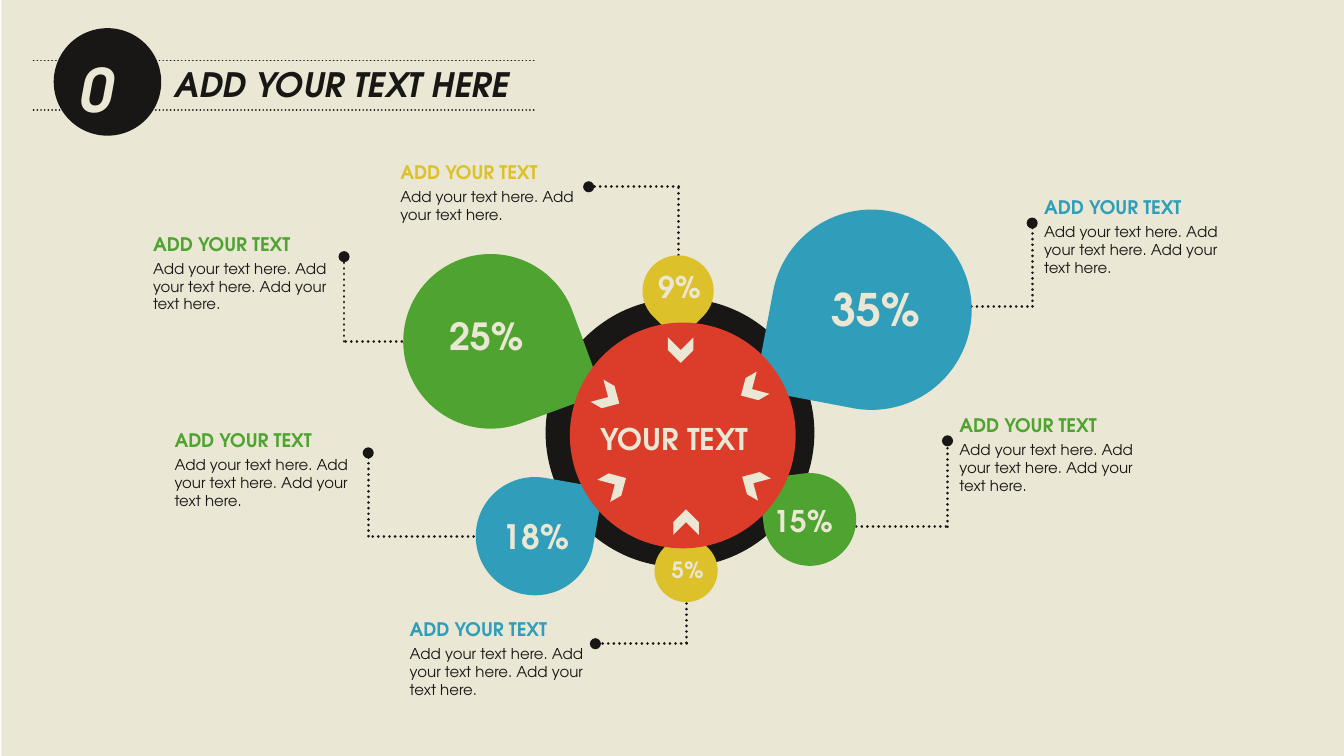
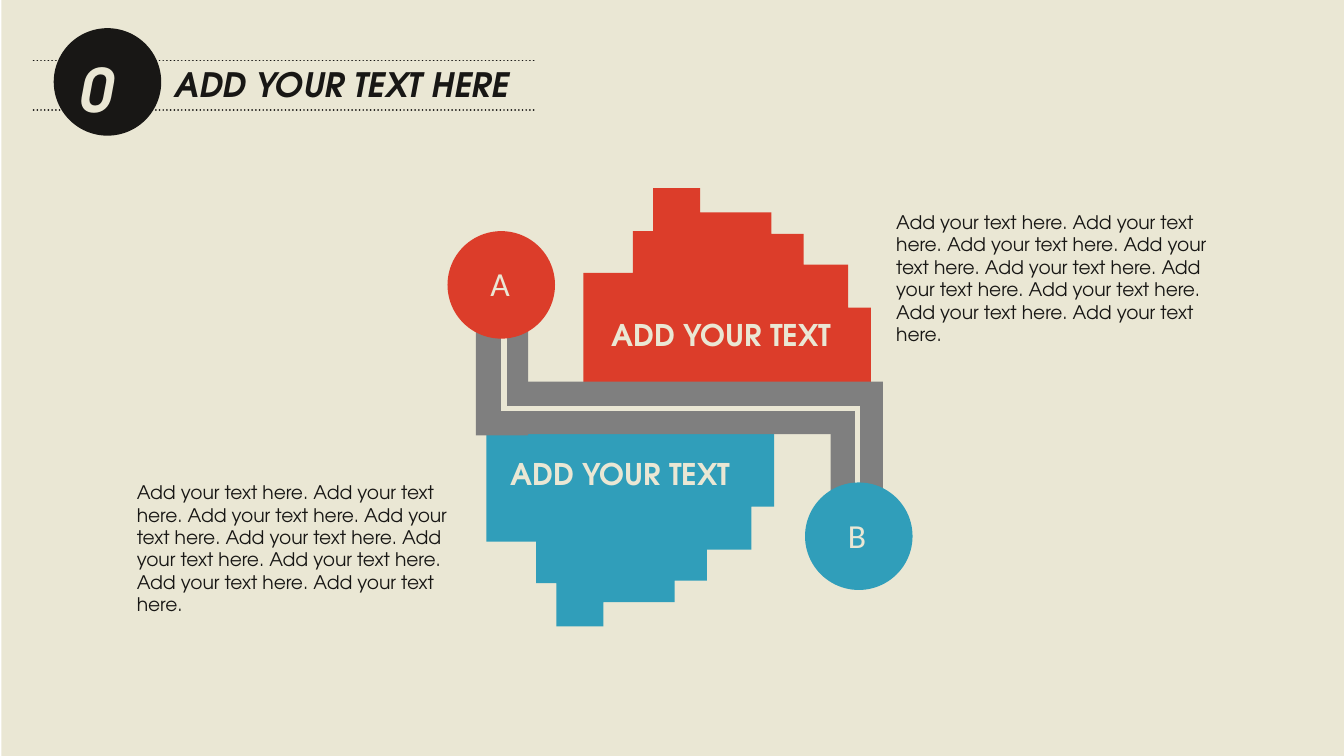
"""Build two infographic slides: a percentage wheel and a pair of stepped silhouettes."""
from dataclasses import dataclass
from typing import NamedTuple

from lxml import etree
from pptx import Presentation
from pptx.dml.color import RGBColor
from pptx.enum.dml import MSO_LINE as Dash
from pptx.enum.shapes import MSO_CONNECTOR as Link, MSO_SHAPE as Preset
from pptx.enum.text import MSO_AUTO_SIZE as AutoSize
from pptx.oxml.ns import qn
from pptx.util import Inches, Pt


@dataclass(frozen=True)
class Theme:
    """Colours, fonts and type sizes shared by both slides."""
    cream: str = "EAE7D4"
    ink: str = "181715"
    green: str = "4FA331"
    blue: str = "309EBA"
    yellow: str = "DCC12A"
    red: str = "DC3D2A"
    grey: str = "7F7F7F"
    font: str = "TeX Gyre Adventor"
    letter_font: str = "Calibri"
    number: int = 32
    title: int = 18
    label: int = 16
    heading: int = 10
    small: int = 8


THEME = Theme()
SENTENCE = "Add your text here."


class Bubble(NamedTuple):
    """One share of the wheel: teardrop, percentage and its place."""
    left: float
    top: float
    size: float
    turn: float
    color: str
    share: str
    share_box: tuple
    share_size: int


class Callout(NamedTuple):
    """A heading with body text and the leader that ties it to a bubble."""
    left: float
    top: float
    color: str
    sentences: int
    leader: tuple


BUBBLES = [
    Bubble(3, 1.89, 1.3, 69.9, THEME.green, "25%", (3.25, 2.28, 0.77, 0.44), 20),
    Bubble(5.74, 1.56, 1.49, 190.7, THEME.blue, "35%", (6.09, 2.05, 0.88, 0.5), 24),
    Bubble(5.68, 3.52, 0.69, 262.7, THEME.green, "15%", (5.66, 3.69, 0.65, 0.37), 16),
    Bubble(3.54, 3.55, 0.88, 9.9, THEME.blue, "18%", (3.64, 3.79, 0.71, 0.4), 18),
    Bubble(4.87, 4.01, 0.47, 315, THEME.yellow, "5%", (4.9, 4.09, 0.44, 0.3), 12),
    Bubble(4.78, 1.9, 0.53, 135, THEME.yellow, "9%", (4.8, 1.95, 0.52, 0.37), 16),
]

CALLOUTS = [
    Callout(1.04, 1.68, THEME.green, 3, ((2.99, 2.54), (2.56, 2.54), (2.56, 1.91))),
    Callout(1.2, 3.14, THEME.green, 3, ((3.9, 3.99), (2.74, 3.99), (2.74, 3.37))),
    Callout(2.95, 4.55, THEME.blue, 3, ((5.11, 4.24), (5.11, 4.79), (4.43, 4.79))),
    Callout(2.88, 1.15, THEME.yellow, 2, ((5.05, 1.94), (5.05, 1.39), (4.38, 1.39))),
    Callout(7.67, 1.41, THEME.blue, 3, ((6.81, 2.28), (7.68, 2.28), (7.68, 1.66))),
    Callout(7.04, 3.03, THEME.green, 3, ((5.87, 3.92), (7.05, 3.92), (7.05, 3.28))),
]

CHEVRONS = [(4.97, 2.51, 90), (5.5, 2.8, 150), (4.43, 2.86, 30),
            (5.01, 3.79, 270), (4.48, 3.51, 330), (5.51, 3.5, 210)]

SILHOUETTE = [
    (4.86, 1.4), (5.21, 1.4), (5.21, 1.58), (5.74, 1.58), (5.74, 1.74), (5.98, 1.74),
    (5.98, 1.97), (6.31, 1.97), (6.31, 2.29), (6.48, 2.29), (6.48, 3.07), (6.23, 3.07),
    (6.23, 2.97), (5.96, 2.97), (5.96, 2.94), (5.64, 2.94), (5.64, 2.86), (5.08, 2.86),
    (5.08, 2.91), (4.71, 2.91), (4.71, 2.87), (4.34, 2.87), (4.34, 2.03), (4.71, 2.03),
    (4.71, 1.72), (4.86, 1.72)]
MIRROR_SHIFT = 0.72
MIRROR_SUM = 6.06


def rgb(color):
    """Turn a hex string into a colour."""
    return RGBColor.from_string(color)


def paint(shape, color):
    """Give a shape a flat fill without outline or shadow."""
    shape.shadow.inherit = False
    shape.fill.solid()
    shape.fill.fore_color.rgb = rgb(color)
    shape.line.fill.background()


def add_preset(slide, preset, box, color, turn=0):
    """Add a flat preset shape, optionally rotated."""
    shape = slide.shapes.add_shape(preset, *map(Inches, box))
    shape.rotation = turn
    paint(shape, color)


def add_outline(slide, points, color):
    """Add a flat closed polygon."""
    corners = [(Inches(x), Inches(y)) for x, y in points]
    builder = slide.shapes.build_freeform(*corners[0])
    builder.add_line_segments(corners[1:], close=True)
    paint(builder.convert_to_shape(), color)


def add_line(slide, start, end, color, width, dotted=False, dot_end=False):
    """Add a straight line, optionally round-dotted or ending in a dot."""
    line = slide.shapes.add_connector(Link.STRAIGHT, *map(Inches, start + end))
    line.line.color.rgb = rgb(color)
    line.line.width = Pt(width)
    stroke = line._element.spPr.find(qn("a:ln"))
    if dotted:
        line.line.dash_style = Dash.ROUND_DOT
        stroke.set("cap", "rnd")
    if dot_end:
        etree.SubElement(stroke, qn("a:tailEnd"), type="oval")
    etree.SubElement(line._element.spPr, qn("a:effectLst"))


def add_text(slide, box, text, size, color, bold=False, italic=False,
             wrap=False, font=THEME.font):
    """Add a one-paragraph text box."""
    frame = slide.shapes.add_textbox(*map(Inches, box)).text_frame
    frame.word_wrap = wrap
    frame.auto_size = AutoSize.SHAPE_TO_FIT_TEXT
    paragraph = frame.paragraphs[0]
    paragraph.text = text
    paragraph.font.name = font
    paragraph.font.size = Pt(size)
    paragraph.font.bold = bold
    paragraph.font.italic = italic
    paragraph.font.color.rgb = rgb(color)


def add_body(slide, box, sentences, size):
    """Add wrapped body text made of repeated sentences."""
    add_text(slide, box, " ".join([SENTENCE] * sentences), size, THEME.ink, wrap=True)


def add_base_slide(deck):
    """Add a blank slide with the cream ground and the numbered title."""
    slide = deck.slides.add_slide(deck.slide_layouts[6])
    add_preset(slide, Preset.RECTANGLE, (0.01, 0, 9.99, 5.64), THEME.cream)
    for y in (0.45, 0.82):
        add_line(slide, (0.25, y), (3.98, y), THEME.ink, 1, dotted=True)
    add_preset(slide, Preset.OVAL, (0.4, 0.21, 0.8, 0.8), THEME.ink)
    add_text(slide, (1.2, 0.43, 2.69, 0.4), "ADD YOUR TEXT HERE", THEME.title,
             THEME.ink, bold=True, italic=True)
    add_text(slide, (0.49, 0.34, 0.69, 0.64), "01", THEME.number, THEME.cream,
             bold=True, italic=True)
    return slide


def add_leader(slide, leader):
    """Draw a dotted elbow from a bubble to the dot beside its callout."""
    bubble_end, corner, callout_end = leader
    add_line(slide, bubble_end, corner, THEME.ink, 1.5, dotted=True)
    add_line(slide, corner, callout_end, THEME.ink, 1.5, dotted=True, dot_end=True)


def add_callout(slide, callout):
    """Add a callout's heading and body text."""
    left, top = callout.left, callout.top
    add_text(slide, (left, top, 1.29, 0.27), "ADD YOUR TEXT", THEME.heading,
             callout.color, bold=True)
    height = 0.5 if callout.sentences > 2 else 0.37
    add_body(slide, (left, top + 0.2, 1.65, height), callout.sentences, THEME.small)


def build_wheel(deck):
    """Build the percentage wheel with its callouts."""
    slide = add_base_slide(deck)
    for callout in CALLOUTS:
        add_leader(slide, callout.leader)
    add_preset(slide, Preset.OVAL, (4.06, 2.22, 2, 2), THEME.ink)
    for bubble in BUBBLES:
        add_preset(slide, Preset.TEAR, (bubble.left, bubble.top, bubble.size, bubble.size),
                   bubble.color, bubble.turn)
    add_preset(slide, Preset.OVAL, (4.24, 2.4, 1.68, 1.68), THEME.red)
    for left, top, turn in CHEVRONS:
        add_preset(slide, Preset.CHEVRON, (left, top, 0.19, 0.19), THEME.cream, turn)
    add_text(slide, (4.37, 3.08, 1.41, 0.37), "YOUR TEXT", THEME.label, THEME.cream, bold=True)
    for bubble in BUBBLES:
        add_text(slide, bubble.share_box, bubble.share, bubble.share_size,
                 THEME.cream, bold=True)
    for callout in CALLOUTS:
        add_callout(slide, callout)


def build_silhouettes(deck):
    """Build the two mirrored silhouettes joined by a road from A to B."""
    slide = add_base_slide(deck)
    mirrored = [(x - MIRROR_SHIFT, MIRROR_SUM - y) for x, y in SILHOUETTE]
    add_outline(slide, SILHOUETTE, THEME.red)
    add_outline(slide, mirrored, THEME.blue)
    for road in ((3.54, 2.37, 0.39, 0.87), (3.73, 2.84, 2.84, 0.39), (6.18, 2.94, 0.39, 0.87)):
        add_preset(slide, Preset.RECTANGLE, road, THEME.grey)
    for left, top in ((6.57, 1.52), (0.92, 3.53)):
        add_body(slide, (left, top, 2.6, 1.1), 9, THEME.heading)
    for left, top in ((4.45, 2.31), (3.7, 3.34)):
        add_text(slide, (left, top, 1.95, 0.37), "ADD YOUR TEXT", THEME.label,
                 THEME.cream, bold=True)
    for start, end in (((3.75, 2.49), (3.75, 3.06)), ((6.38, 3.02), (6.38, 3.74)),
                       ((3.73, 3.04), (6.36, 3.04))):
        add_line(slide, start, end, THEME.cream, 3)
    for letter, left, top, color in (("A", 3.33, 1.72, THEME.red), ("B", 5.99, 3.59, THEME.blue)):
        add_preset(slide, Preset.OVAL, (left, top, 0.8, 0.8), color)
        add_text(slide, (left + 0.22, top + 0.19, 0.36, 0.4), letter, THEME.title,
                 THEME.cream, font=THEME.letter_font)


def main():
    """Build and save the deck."""
    deck = Presentation()
    deck.slide_width = Inches(10)
    deck.slide_height = deck.slide_width * 9 // 16
    build_wheel(deck)
    build_silhouettes(deck)
    deck.save("out.pptx")


if __name__ == "__main__":
    main()
